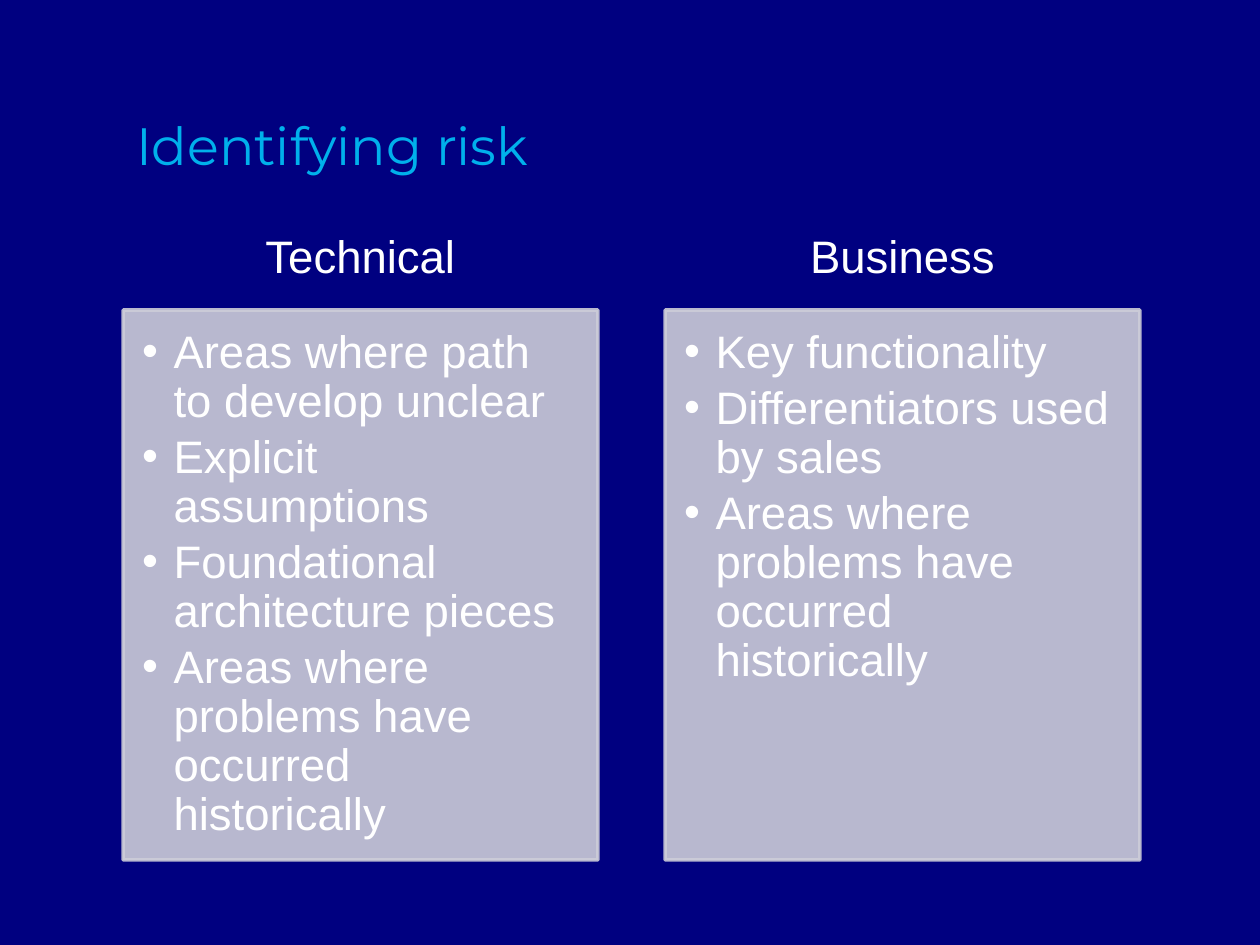
import pptx
import pptx.util
import pptx.dml.color
import pptx.enum.text
import pptx.oxml.ns
import lxml.etree


def px(pixels):
    return round(pixels * 914400 / 126)


def rgb(value):
    return pptx.dml.color.RGBColor.from_string(value)


NAVY, PANEL, WHITE, CYAN = "000080", "CCCCD8", "FFFFFF", "00B0EB"
qn = pptx.oxml.ns.qn
Pt = pptx.util.Pt
ALIGN = pptx.enum.text.PP_ALIGN
ANCHOR = pptx.enum.text.MSO_ANCHOR

columns = [
    ("Technical", [
        "Areas where path to develop unclear",
        "Explicit assumptions",
        "Foundational architecture pieces",
        "Areas where problems have occurred historically",
    ]),
    ("Business", [
        "Key functionality",
        "Differentiators used by sales",
        "Areas where problems have occurred historically",
    ]),
]

deck = pptx.Presentation()
deck.slide_width, deck.slide_height = px(1260), px(945)
slide = deck.slides.add_slide(deck.slide_layouts[4])
slide.background.fill.solid()
slide.background.fill.fore_color.rgb = rgb(NAVY)

parts = [{
    "idx": 0, "lines": ["Identifying risk"], "box": (123, 18, 1016, 164),
    "insets": (13, 6, 13, 6), "anchor": ANCHOR.BOTTOM, "fill": None, "alpha": None,
    "paragraph": {"alignment": ALIGN.LEFT},
    "font": {"size": Pt(30), "name": "Montserrat", "bold": False},
    "ink": CYAN, "bullet": False,
}]
for number, (heading, points) in enumerate(columns):
    left = 123 + 542 * number
    shared = {"font": {"size": Pt(26), "name": "Arial", "bold": False}, "ink": WHITE}
    spacing = {"line_spacing": 0.9, "space_before": Pt(0)}
    parts.append({
        **shared, "idx": 1 + 2 * number, "lines": [heading], "box": (left, 207, 475, 103),
        "insets": (25, 15, 25, 15), "anchor": ANCHOR.MIDDLE, "fill": NAVY, "alpha": None,
        "paragraph": {**spacing, "alignment": ALIGN.CENTER, "space_after": Pt(9.1)},
        "bullet": False,
    })
    parts.append({
        **shared, "idx": 2 + 2 * number, "lines": points, "box": (left, 310, 475, 550),
        "insets": (19, 19, 25, 29), "anchor": ANCHOR.TOP, "fill": PANEL, "alpha": 90,
        "paragraph": {**spacing, "alignment": ALIGN.LEFT, "space_after": Pt(3.9), "level": 1},
        "bullet": True,
    })

placeholders = {holder.placeholder_format.idx: holder for holder in slide.placeholders}
for part in parts:
    holder = placeholders[part["idx"]]
    for side, length in zip(("left", "top", "width", "height"), part["box"]):
        setattr(holder, side, px(length))
    if part["fill"]:
        holder.fill.solid()
        holder.fill.fore_color.rgb = rgb(part["fill"])
        holder.line.color.rgb = rgb(part["fill"])
        holder.line.width = Pt(2)
    if part["alpha"]:
        for colour in holder.element.spPr.iter(qn("a:srgbClr")):
            lxml.etree.SubElement(colour, qn("a:alpha"), val=str(part["alpha"] * 1000))

    frame = holder.text_frame
    frame.text = "\n".join(part["lines"])
    frame.word_wrap = True
    frame.auto_size = pptx.enum.text.MSO_AUTO_SIZE.NONE
    frame.vertical_anchor = part["anchor"]
    for side, length in zip(("left", "top", "right", "bottom"), part["insets"]):
        setattr(frame, "margin_" + side, px(length))

    for paragraph in frame.paragraphs:
        for name, value in part["paragraph"].items():
            setattr(paragraph, name, value)
        font = paragraph.runs[0].font
        for name, value in part["font"].items():
            setattr(font, name, value)
        font.color.rgb = rgb(part["ink"])
        if part["bullet"]:
            properties = paragraph._p.get_or_add_pPr()
            properties.set("marL", "228600")
            properties.set("indent", "-228600")
            lxml.etree.SubElement(properties, qn("a:buFont"), typeface="Arial")
            lxml.etree.SubElement(properties, qn("a:buChar"), char="•")

for idx, holder in placeholders.items():
    if not holder.has_text_frame or not holder.text_frame.text:
        holder.element.getparent().remove(holder.element)

deck.save("out.pptx")
